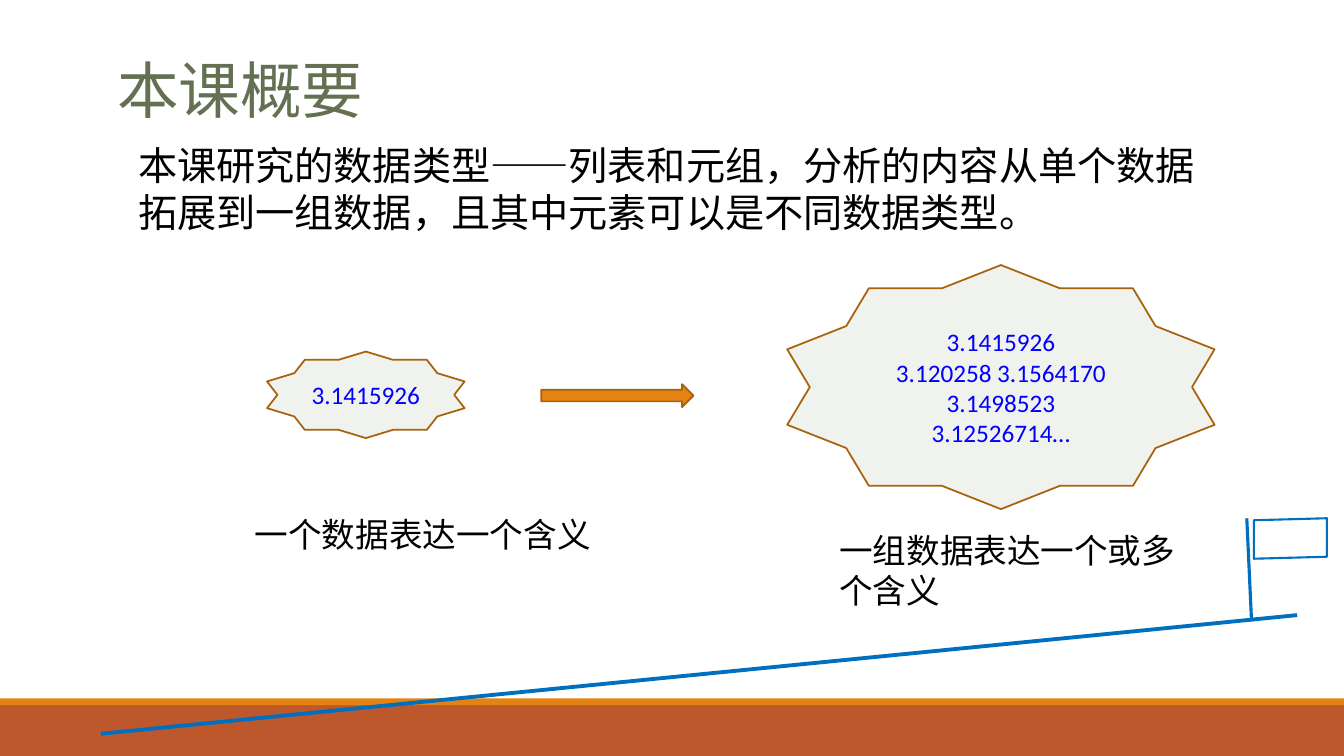
from dataclasses import dataclass

from lxml.etree import SubElement
from pptx import Presentation
from pptx.dml.color import RGBColor
from pptx.enum.shapes import MSO_CONNECTOR as Link, MSO_SHAPE as Kind
from pptx.enum.text import MSO_ANCHOR as Anchor, PP_ALIGN as Align
from pptx.oxml.ns import qn
from pptx.util import Cm, Pt


@dataclass(frozen=True)
class Theme:
    band: str = "BD582C"
    accent: str = "E48312"
    edge: str = "A9610D"
    star: str = "F0F2ED"
    title: str = "637052"
    ink: str = "000000"
    number: str = "0000FF"
    flag: str = "006FC0"
    han: str = "Noto Sans CJK SC"
    latin: str = "Calibri"
    title_size: int = 44
    body_size: int = 28
    label_size: int = 24
    number_size: int = 18
    edge_width: float = 1.25
    leading: float = 1.2


THEME = Theme()


def color(code):
    return RGBColor.from_string(code)


def write(frame, text, *, size, ink, font, align=Align.LEFT, leading=None):
    frame.word_wrap = True
    for i, line in enumerate(text.split("\n")):
        para = frame.paragraphs[0] if i == 0 else frame.add_paragraph()
        para.alignment = align
        if leading:
            para.line_spacing = Pt(size * leading)
        run = para.add_run()
        run.text = line
        run.font.size = Pt(size)
        run.font.color.rgb = color(ink)
        run.font.name = font
        SubElement(run.font._element, qn("a:ea")).set("typeface", font)


def add_text(slide, box, text, inset=None, **style):
    frame = slide.shapes.add_textbox(*map(Cm, box)).text_frame
    if inset is not None:
        frame.margin_left = frame.margin_right = frame.margin_bottom = 0
        frame.margin_top = Cm(inset)
    write(frame, text, font=THEME.han, leading=THEME.leading, **style)


def add_form(slide, kind, box, fill, edge=None):
    shape = slide.shapes.add_shape(kind, *map(Cm, box))
    shape.shadow.inherit = False
    shape.fill.solid()
    shape.fill.fore_color.rgb = color(fill)
    if edge:
        shape.line.color.rgb = color(edge)
        shape.line.width = Pt(THEME.edge_width)
    else:
        shape.line.fill.background()
    return shape


def add_star(slide, box, text):
    star = add_form(slide, Kind.STAR_10_POINT, box, THEME.star, THEME.edge)
    star.text_frame.vertical_anchor = Anchor.MIDDLE
    write(star.text_frame, text, size=THEME.number_size, ink=THEME.number,
          font=THEME.latin, align=Align.CENTER)


def add_line(slide, ends, width):
    line = slide.shapes.add_connector(Link.STRAIGHT, *map(Cm, ends))
    line.line.color.rgb = color(THEME.flag)
    line.line.width = Pt(width)
    SubElement(line._element.spPr, qn("a:effectLst"))


def footer(slide, box):
    left, top, width, height = box
    strip = 0.17
    add_form(slide, Kind.RECTANGLE,
             (left, top + strip, width, height - strip), THEME.band)
    add_form(slide, Kind.RECTANGLE, (left, top, width, strip), THEME.accent)


def heading(slide, box):
    left, top, width, height = box
    add_text(slide, (left, top, 11.28, 1.93), "本课概要", inset=0.05,
             size=THEME.title_size, ink=THEME.title)
    add_text(slide, (left + 0.28, top + 2.18, width - 0.28, height - 2.18),
             "本课研究的数据类型——列表和元组，分析的内容从单个数据"
             "拓展到一组数据，且其中元素可以是不同数据类型。",
             size=THEME.body_size, ink=THEME.ink)


def compare(slide, box):
    """Place one value, an arrow and a group of values, with labels."""
    left, top, width, height = box
    add_star(slide, (left + 0.56, top + 2.18, 4.98, 2.18), "3.1415926")
    add_form(slide, Kind.RIGHT_ARROW, (left + 7.47, top + 3, 3.84, 0.58),
             THEME.accent, THEME.edge)
    add_star(slide, (left + width - 10.77, top, 10.77, 6.15),
             "3.1415926\n3.120258 3.1564170\n3.1498523\n3.12526714…")
    labels = ((0, 6.15, 1.27, "一个数据表达一个含义"),
              (14.73, 6.55, 2.31, "一组数据表达一个或多个含义"))
    for x, y, tall, text in labels:
        add_text(slide, (left + x, top + y, 9.25, tall), text,
                 size=THEME.label_size, ink=THEME.ink)


def hill(slide, box):
    """Draw the rising slope and the flag near its end."""
    left, top, width, height = box
    add_line(slide, (left, top + height, left + width, top + 2.44), 2.75)
    add_line(slide, (left + 28.88, top, left + 29, top + 2.59), 2.25)
    x, y, wide, tall, tilt = left + 29.06, top, 1.84, 0.97, 0.05
    corners = ((x, y + tilt), (x + wide, y), (x + wide, y + tall),
               (x, y + tall + tilt))
    points = [(Cm(a), Cm(b)) for a, b in corners]
    path = slide.shapes.build_freeform(*points[0])
    path.add_line_segments(points[1:], close=True)
    cloth = path.convert_to_shape()
    cloth.shadow.inherit = False
    cloth.fill.background()
    cloth.line.color.rgb = color(THEME.flag)
    cloth.line.width = Pt(1.5)


def main():
    deck = Presentation()
    deck.slide_width, deck.slide_height = Cm(33.87), Cm(19.05)
    slide = deck.slides.add_slide(deck.slide_layouts[6])
    footer(slide, (0, 17.6, 33.87, 1.45))
    heading(slide, (2.95, 1.25, 27.84, 4.82))
    compare(slide, (6.17, 6.68, 24.44, 8.86))
    hill(slide, (2.54, 13.06, 30.15, 5.43))
    deck.save("out.pptx")


if __name__ == "__main__":
    main()
